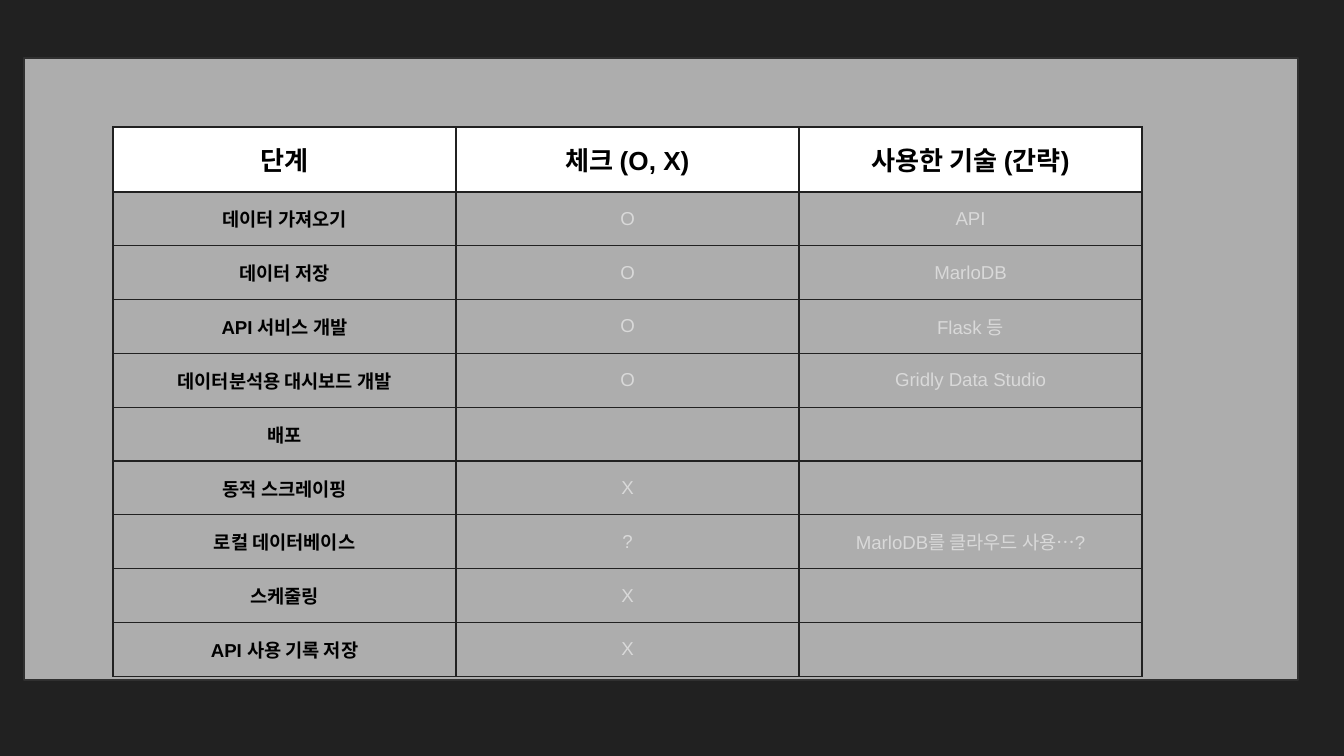
from lxml.etree import SubElement
from pptx import Presentation
from pptx.dml.color import RGBColor
from pptx.enum.shapes import MSO_SHAPE
from pptx.enum.text import MSO_ANCHOR, PP_ALIGN
from pptx.oxml.ns import qn
from pptx.util import Emu, Pt

PX = 914400 / 134.4
COLORS = {"back": "212121", "panel": "ADADAD", "edge": "303030",
          "white": "FFFFFF", "black": "000000", "pale": "D9D9D9"}
HEADER = {"size": Pt(14), "bold": True, "color": "black", "fill": "white"}
STEP = {"size": Pt(10), "bold": True, "color": "black", "fill": None}
ANSWER = {"size": Pt(10), "bold": False, "color": "pale", "fill": None}
ROWS = [
    ("단계", "체크 (O, X)", "사용한 기술 (간략)"),
    ("데이터 가져오기", "O", "API"),
    ("데이터 저장", "O", "MarloDB"),
    ("API 서비스 개발", "O", "Flask 등"),
    ("데이터분석용 대시보드 개발", "O", "Gridly Data Studio"),
    ("배포", "", ""),
    ("동적 스크레이핑", "X", ""),
    ("로컬 데이터베이스", "?", "MarloDB를 클라우드 사용…?"),
    ("스케줄링", "X", ""),
    ("API 사용 기록 저장", "X", ""),
]


def px(n):
    """Turn pixels into EMU."""
    return Emu(round(n * PX))


def rgb(name):
    """Look up a colour by name."""
    return RGBColor.from_string(COLORS[name])


def set_borders(cell, color, width):
    """Draw all four borders of a cell, ahead of its fill."""
    tc_pr = cell._tc.get_or_add_tcPr()
    for i, side in enumerate(("lnL", "lnR", "lnT", "lnB")):
        ln = SubElement(tc_pr, qn("a:" + side), w=str(width))
        fill = SubElement(ln, qn("a:solidFill"))
        SubElement(fill, qn("a:srgbClr"), val=COLORS[color])
        tc_pr.insert(i, ln)


def fill_cell(cell, text, style):
    """Write and format one table cell."""
    for side in ("left", "right", "top", "bottom"):
        setattr(cell, "margin_" + side, Emu(91440))
    cell.vertical_anchor = MSO_ANCHOR.MIDDLE
    set_borders(cell, "back", Pt(0.75))
    if style["fill"]:
        cell.fill.solid()
        cell.fill.fore_color.rgb = rgb(style["fill"])
    else:
        cell.fill.background()
    p = cell.text_frame.paragraphs[0]
    p.alignment = PP_ALIGN.CENTER
    if not text:
        SubElement(p._p, qn("a:endParaRPr"), sz=str(int(style["size"].pt * 100)))
        return
    r = p.add_run()
    r.text = text
    for name, value in {"name": "Arial", "size": style["size"], "bold": style["bold"]}.items():
        setattr(r.font, name, value)
    r.font.color.rgb = rgb(style["color"])


def add_panel(s, x, y, w, h):
    """Add the grey panel behind the table."""
    sp = s.shapes.add_shape(MSO_SHAPE.RECTANGLE, px(x), px(y), px(w), px(h))
    sp.shadow.inherit = False
    sp.fill.solid()
    sp.fill.fore_color.rgb = rgb("panel")
    sp.line.color.rgb = rgb("edge")
    sp.line.width = Pt(0.75)


def add_checklist(s, x, y, w, h):
    """Add the checklist table; rows grow to fit their text."""
    cols = len(ROWS[0])
    frame = s.shapes.add_table(len(ROWS), cols, px(x), px(y), px(w), px(h))
    table = frame.table
    table.horz_banding = False
    for col in table.columns:
        col.width = px(w / cols)
    for i, texts in enumerate(ROWS):
        table.rows[i].height = px(42 if i else 43)
        for j, text in enumerate(texts):
            style = HEADER if i == 0 else ANSWER if j else STEP
            fill_cell(table.cell(i, j), text, style)
    frame.height = px(h)


def build_slide(prs):
    """Build the checklist slide."""
    s = prs.slides.add_slide(prs.slide_layouts[6])
    s.background.fill.solid()
    s.background.fill.fore_color.rgb = rgb("back")
    add_panel(s, 24, 58, 1274, 622)
    add_checklist(s, 113, 127, 1029, 501)


prs = Presentation()
prs.slide_width, prs.slide_height = px(1344), px(756)
build_slide(prs)
prs.save("out.pptx")
